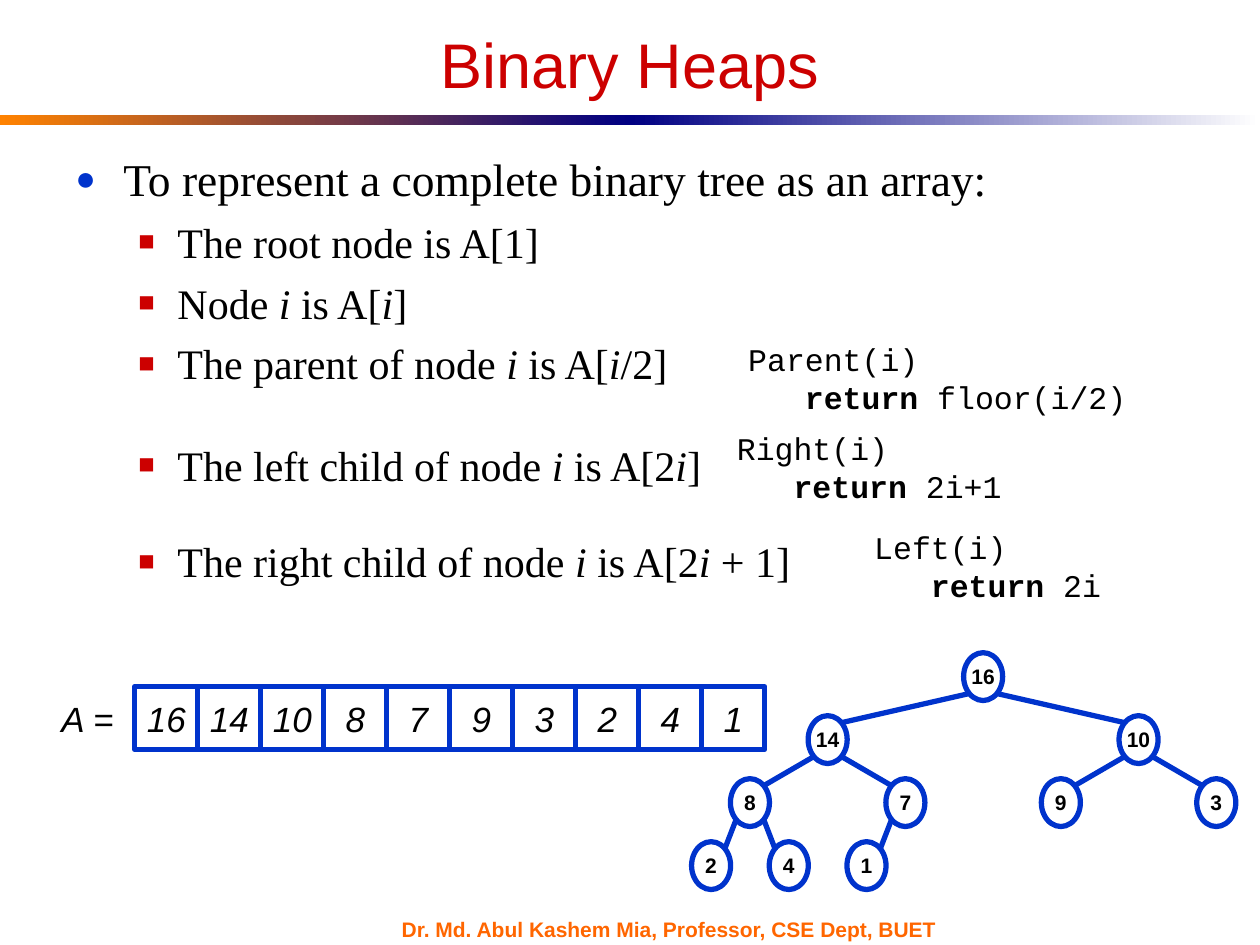
import math
from collections import namedtuple
from dataclasses import dataclass

from lxml import etree
from pptx import Presentation
from pptx import util as u
from pptx.dml.color import RGBColor
from pptx.enum import shapes, text
from pptx.oxml.ns import qn


@dataclass(frozen=True)
class Theme:
    title: str = "CC0000"
    accent: str = "0033CC"
    footer: str = "FF6600"
    orange: str = "FF8200"
    navy: str = "000082"
    ink: str = "000000"
    paper: str = "FFFFFF"
    sans: str = "Arial"
    serif: str = "Times New Roman"
    mono: str = "Courier New"
    title_pt: int = 36
    lead_pt: int = 26
    point_pt: int = 24
    cell_pt: int = 20
    code_pt: int = 18
    small_pt: int = 12
    line_pt: int = 3


T = Theme()
UNIT = 0.5  # the slide is a grid of 20 columns by 15 rows
Box = namedtuple("Box", "x y w h")


def emu(*lengths):
    return [u.Inches(n * UNIT) for n in lengths]


def rgb(value):
    return RGBColor.from_string(value)


def write(p, words, size=T.small_pt, font=T.sans, color=T.ink, bold=False,
          italic=False, mark="", align=None):
    """Add words to p; pieces between * marks get the style named by mark."""
    if align is not None:
        p.alignment = align
    for n, piece in enumerate(words.split("*")):
        if not piece:
            continue
        r = p.add_run()
        r.text = piece
        f = r.font
        f.size, f.name, f.color.rgb = u.Pt(size), font, rgb(color)
        f.bold = bold or (mark == "bold" and n % 2 == 1)
        f.italic = italic or (mark == "italic" and n % 2 == 1)


def indent(p, left, first=0.0):
    pPr = p._p.get_or_add_pPr()
    pPr.set("marL", str(u.Inches(left)))
    pPr.set("indent", str(u.Inches(first)))


def bullet(p, char, color, percent):
    pPr = p._p.get_or_add_pPr()
    clr = etree.SubElement(pPr, qn("a:buClr"))
    etree.SubElement(clr, qn("a:srgbClr"), val=color)
    etree.SubElement(pPr, qn("a:buSzPct"), val=str(percent * 1000))
    etree.SubElement(pPr, qn("a:buFont"), typeface=T.sans)
    etree.SubElement(pPr, qn("a:buChar"), char=char)


def text_box(s, box, wrap=True, anchor=text.MSO_ANCHOR.TOP):
    tf = s.shapes.add_textbox(*emu(*box)).text_frame
    tf.word_wrap, tf.vertical_anchor = wrap, anchor
    return tf


def labelled_shape(s, kind, box, label, **style):
    sp = s.shapes.add_shape(kind, *emu(*box))
    sp.shadow.inherit = False
    sp.fill.solid()
    sp.fill.fore_color.rgb = rgb(T.paper)
    sp.line.color.rgb, sp.line.width = rgb(T.accent), u.Pt(T.line_pt)
    tf = sp.text_frame
    tf.word_wrap, tf.vertical_anchor = False, text.MSO_ANCHOR.MIDDLE
    write(tf.paragraphs[0], str(label), align=text.PP_ALIGN.CENTER, **style)


def title_region(s, box, words):
    title = s.shapes.title
    title.left, title.top, title.width, title.height = emu(*box)
    tf = title.text_frame
    tf.auto_size = text.MSO_AUTO_SIZE.NONE
    tf.vertical_anchor = text.MSO_ANCHOR.MIDDLE
    write(tf.paragraphs[0], words, size=T.title_pt, color=T.title,
          align=text.PP_ALIGN.CENTER)


def rule_region(s, box):
    """Two gradient halves that meet in navy."""
    half = box.w / 2
    for n, colors in enumerate([(T.orange, T.navy), (T.navy, T.paper)]):
        sp = s.shapes.add_shape(shapes.MSO_SHAPE.RECTANGLE,
                                *emu(box.x + n * half, box.y, half, box.h))
        sp.shadow.inherit = False
        sp.line.fill.background()
        sp.fill.gradient()
        sp.fill.gradient_angle = 0
        for stop, color, place in zip(sp.fill.gradient_stops, colors, (0, 1)):
            stop.color.rgb, stop.position = rgb(color), place


def points_region(s, box, lead, points):
    tf = text_box(s, box)
    p = tf.paragraphs[0]
    p.space_before = u.Pt(6.5)
    indent(p, 0.38, -0.38)
    bullet(p, "●", T.accent, 75)
    write(p, lead, size=T.lead_pt, font=T.serif)
    for words, gap in points:
        p = tf.add_paragraph()
        p.level, p.space_before = 1, u.Pt(gap)
        indent(p, 0.81, -0.31)
        bullet(p, "■", T.title, 65)
        write(p, words, size=T.point_pt, font=T.serif, mark="italic")


def code_region(s, box, head, result):
    tf = text_box(s, box, wrap=False)
    write(tf.paragraphs[0], head, size=T.code_pt, font=T.mono)
    p = tf.add_paragraph()
    indent(p, 0.45)
    write(p, f"*return* {result}", size=T.code_pt, font=T.mono, mark="bold")


def array_region(s, box, name, values):
    label_w = 1.5
    style = dict(size=T.cell_pt, italic=True)
    tf = text_box(s, Box(box.x, box.y, label_w, box.h), False,
                  text.MSO_ANCHOR.MIDDLE)
    write(tf.paragraphs[0], name, align=text.PP_ALIGN.CENTER, **style)
    cell = (box.w - label_w) / len(values)
    for n, value in enumerate(values):
        at = Box(box.x + label_w + n * cell, box.y, cell, box.h)
        labelled_shape(s, shapes.MSO_SHAPE.RECTANGLE, at, value, **style)


def tree_region(s, box, values):
    """Node i sits in slot i - 2**level of its level; its parent is i // 2."""
    node_w, node_h = 0.62, 0.76
    levels = len(values).bit_length()
    centres = {}
    for i, value in enumerate(values, 1):
        level = i.bit_length() - 1
        slot = i - 2 ** level
        x = box.x + box.w * (slot + 0.5) / 2 ** level
        y = box.y + box.h * (level + 0.5) / levels
        centres[i] = x, y
        labelled_shape(s, shapes.MSO_SHAPE.OVAL,
                       Box(x - node_w / 2, y - node_h / 2, node_w, node_h),
                       value, bold=True)
    # Edges touch each oval at its diagonals
    dx, dy = (side / 2 * math.sqrt(0.5) for side in (node_w, node_h))
    for i in range(2, len(values) + 1):
        (px, py), (cx, cy) = centres[i // 2], centres[i]
        way = 1 if i % 2 else -1
        edge = s.shapes.add_connector(
            shapes.MSO_CONNECTOR.STRAIGHT,
            *emu(px + way * dx, py + dy, cx - way * dx, cy - dy))
        edge.line.color.rgb, edge.line.width = rgb(T.accent), u.Pt(T.line_pt)
        etree.SubElement(edge._element.spPr, qn("a:effectLst"))


def footer_region(s, box, words):
    tf = text_box(s, box, anchor=text.MSO_ANCHOR.MIDDLE)
    write(tf.paragraphs[0], words, color=T.footer, bold=True)


def main():
    prs = Presentation()
    prs.slide_width, prs.slide_height = emu(20, 15)
    s = prs.slides.add_slide(prs.slide_layouts[5])
    heap = [16, 14, 10, 8, 7, 9, 3, 2, 4, 1]

    # Heading and footer
    rule_region(s, Box(0, 1.82, 20, 0.17))
    title_region(s, Box(1, 0.5, 18, 1.02), "Binary Heaps")
    footer_region(s, Box(6.18, 14.56, 9.34, 0.36),
                  "Dr. Md. Abul Kashem Mia, Professor, CSE Dept, BUET")

    # Heap as a tree and as an array
    tree_region(s, Box(10.67, 10.24, 9.87, 4), heap)
    array_region(s, Box(0.64, 10.9, 11.5, 1), "A =", heap)

    # Rules, each with its space before in points
    points_region(s, Box(1, 2.3, 18.16, 8.06),
                  "To represent a complete binary tree as an array:",
                  [("The root node is A[1]", 6),
                   ("Node *i* is A[*i*]", 6),
                   ("The parent of node *i* is A[*i*/2]", 6),
                   ("The left child of node *i* is A[2*i*]", 29),
                   ("The right child of node *i* is A[2*i* + 1]", 26.5)])

    # Pseudocode
    code_region(s, Box(11.68, 5.3, 6.4, 1.4), "Parent(i)", "floor(i/2)")
    code_region(s, Box(11.5, 6.72, 4.6, 1.4), "Right(i)", "2i+1")
    code_region(s, Box(13.68, 8.28, 4, 1.4), "Left(i)", "2i")

    prs.save("out.pptx")


if __name__ == "__main__":
    main()
